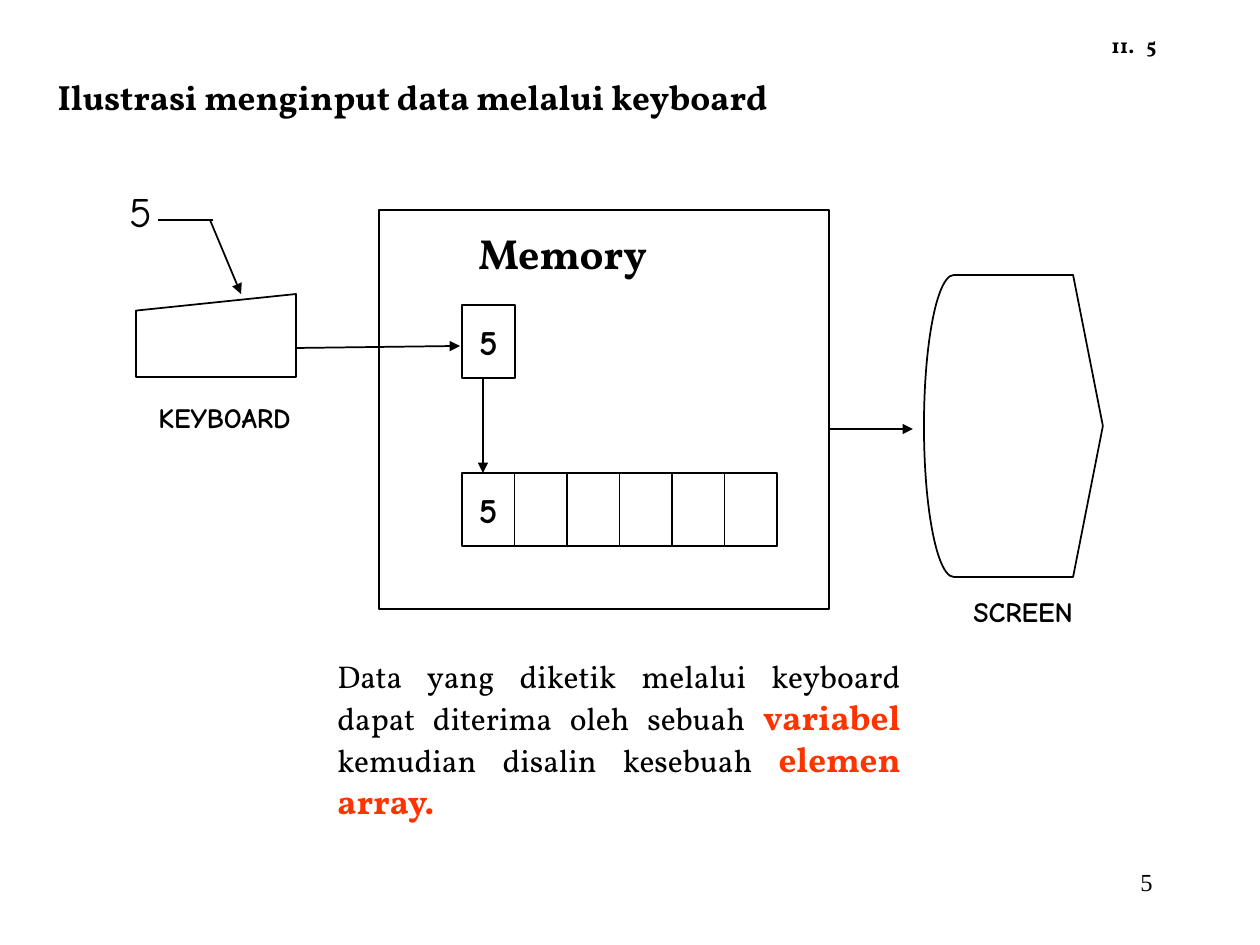
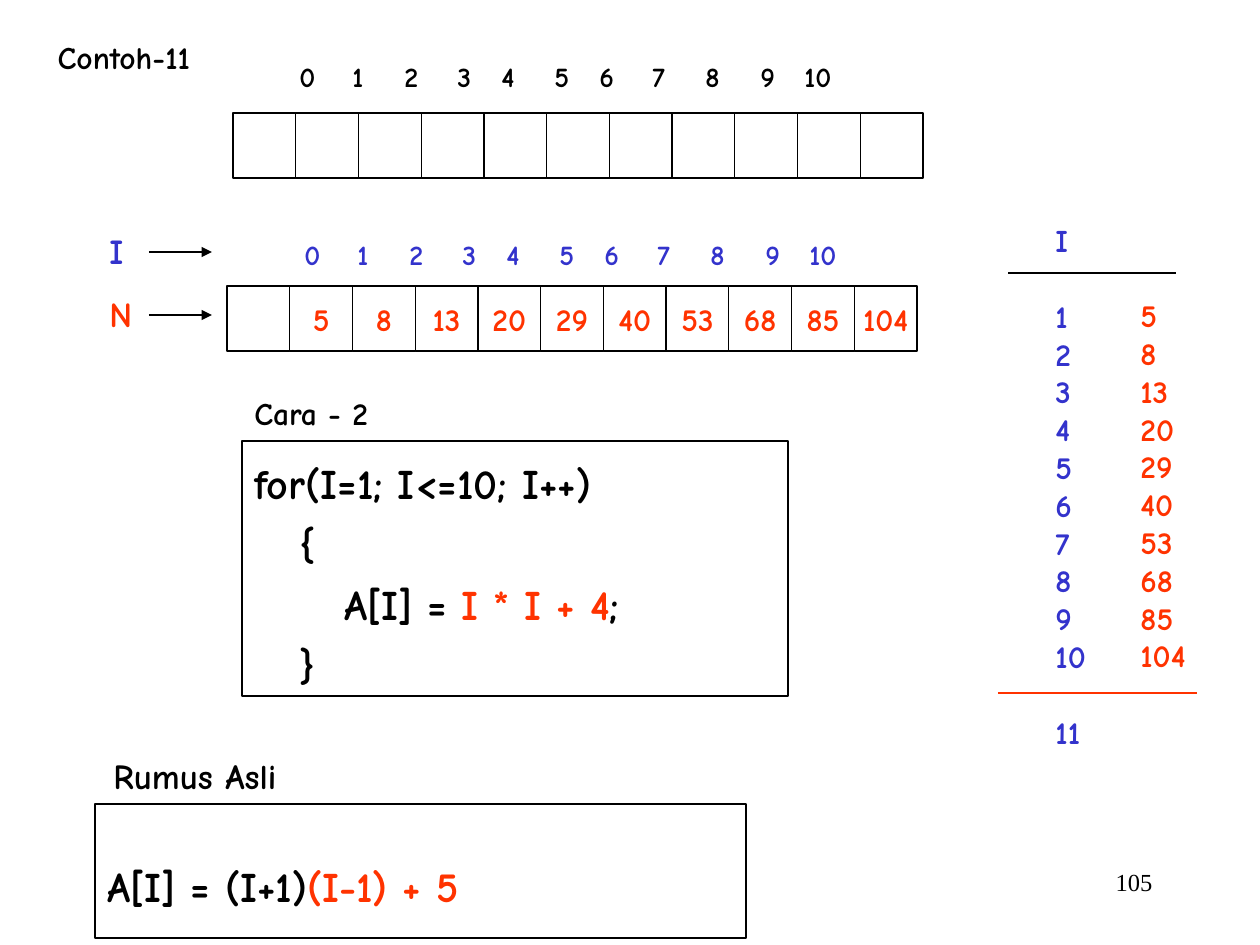
from pptx import Presentation
from pptx.dml.color import RGBColor
from pptx.enum.shapes import MSO_CONNECTOR, MSO_SHAPE
from pptx.enum.text import MSO_ANCHOR, MSO_AUTO_SIZE, PP_ALIGN
from pptx.oxml.ns import qn
from pptx.util import Emu, Pt
from lxml.etree import SubElement

BLACK = RGBColor(0x00, 0x00, 0x00)
RED = RGBColor(0xFF, 0x33, 0x00)
BLUE = RGBColor(0x33, 0x33, 0xCC)
SERIF, COMIC, PLAIN = "Vollkorn", "Comic Neue", "Times New Roman"
TITLE_ONLY = 5

# Content: lengths in px, 126 to the inch; boxes are (left, top, width, height)
PAGE_NUMBER_BOX = (903, 861, 262, 63)

KEYBOARD_TITLE = ("Ilustrasi menginput data melalui keyboard", (45, 69, 789, 55))
KEYBOARD_LABELS = [
    ("5", (1134, 26, 84, 42), dict(name=SERIF, size=12)),
    ("11.", (1099, 26, 54, 38), dict(name=SERIF, size=12)),
    ("KEYBOARD", (146, 394, 158, 47), dict(size=16)),
    ("SCREEN", (961, 588, 125, 47), dict(size=16)),
    ("5", (117, 179, 48, 63), dict(size=24, bold=False)),
    ("Memory", (466, 221, 203, 63), dict(name=SERIF, size=24)),
]
MEMORY_BOX = (379, 210, 450, 399)
KEYBOARD_BOX = (136, 294, 160, 83)
SCREEN_BOX = (924, 275, 179, 302)
VARIABLE_CELL = (462, 305, 53, 73)
ARRAY_CELLS = (462, 473, 315, 73)
# start, end, line width, arrowhead
KEYBOARD_LINES = [
    ((296, 348), (460, 346), 1, True),
    ((158, 220), (213, 220), 1, False),
    ((210, 220), (241, 294), 1, True),
    ((829, 429), (913, 429), 0.75, True),
    ((483, 378), (483, 473), 0.75, True),
]
EXPLANATION_BOX = (325, 651, 588, 173)
KEYWORD = dict(size=20, bold=True, color=RED)
EXPLANATION = [
    ("Data yang diketik melalui keyboard dapat diterima oleh sebuah ", {}),
    ("variabel", KEYWORD),
    (" kemudian disalin kesebuah ", {}),
    ("elemen array.", KEYWORD),
]

EXAMPLE_TITLE = ("Contoh-11", (45, 32, 158, 50))
VALUES = [5, 8, 13, 20, 29, 40, 53, 68, 85, 104]
INDEX_TABS = [53, 105, 158, 202, 255, 300, 353, 406, 461, 505]
INDEX_ROWS = [((287, 53, 578, 47), BLACK), ((292, 231, 578, 47), BLUE)]
EMPTY_CELLS = (233, 113, 690, 65)
VALUE_CELLS = (227, 286, 690, 65)
EXAMPLE_LABELS = [
    ("I", (97, 223, 39, 55), dict(size=20, color=BLUE)),
    ("N", (97, 286, 48, 55), dict(size=20, color=RED)),
    ("Cara - 2", (242, 388, 140, 50), dict(size=18)),
    ("Rumus Asli", (101, 748, 188, 55), dict(size=20)),
]
EXAMPLE_LINES = [
    ((149, 252), (212, 252), BLACK, True),
    ((149, 315), (212, 315), BLACK, True),
    ((1008, 273), (1176, 273), BLACK, False),
    ((998, 693), (1197, 693), RED, False),
]
INDEX_COLUMN = (1043, 215, 56, 542)
VALUE_COLUMN = (1128, 290, 71, 391)
COLUMN_GAP = 21.6  # one line of 18 pt text
CODE_BOX = (242, 441, 546, 255)
CODE = [
    [("for(I=1; I<=10; I++)", {})],
    [("   {", {})],
    [("      A[I] = ", {}), ("I * I + 4", dict(color=RED)), (";", {})],
    [("   }", {})],
]
FORMULA_BOX = (95, 804, 651, 134)
FORMULA_TOP = 56
FORMULA = [[("A[I] = (I+1)", {}), ("(I-1) + 5", dict(color=RED))]]

BASE_FONT = dict(name=COMIC, size=18, bold=True, color=BLACK)


def px(length):
    return Emu(round(length * 914400 / 126))


def emu(lengths):
    return [px(length) for length in lengths]


def set_all(target, values):
    for name, value in values.items():
        setattr(target, name, value)


def write(shape, paragraphs, font=None, frame=None, paragraph_format=None):
    """Fill a shape with paragraphs, each a list of (text, font changes)."""
    text_frame = shape.text_frame
    set_all(text_frame, dict(auto_size=MSO_AUTO_SIZE.NONE, word_wrap=False,
                             vertical_anchor=MSO_ANCHOR.TOP) | (frame or {}))
    for number, runs in enumerate(paragraphs):
        paragraph = text_frame.add_paragraph() if number else text_frame.paragraphs[0]
        set_all(paragraph, dict(alignment=PP_ALIGN.LEFT) | (paragraph_format or {}))
        for text, changes in runs:
            run = paragraph.add_run()
            run.text = text
            style = BASE_FONT | (font or {}) | changes
            run.font.color.rgb = style.pop("color")
            set_all(run.font, style | dict(size=Pt(style["size"])))


def add_text(slide, box, paragraphs, font=None, **formats):
    shape = slide.shapes.add_textbox(*emu(box))
    write(shape, paragraphs, font, **formats)
    return shape


def add_labels(slide, labels):
    for text, box, font in labels:
        add_text(slide, box, [[(text, {})]], font)


def add_outline(slide, box, width=0.75, kind=MSO_SHAPE.RECTANGLE):
    shape = slide.shapes.add_shape(kind, *emu(box))
    shape.shadow.inherit = False
    shape.fill.background()
    shape.line.color.rgb = BLACK
    shape.line.width = Pt(width)
    return shape


def add_cells(slide, row, texts, font=None):
    """Split a row into equal cells, one for each text."""
    left, top, width, height = row
    cell_width = width / len(texts)
    for column, text in enumerate(texts):
        cell = add_outline(slide, (left + column * cell_width, top, cell_width, height))
        if text:
            write(cell, [[(text, {})]], font, dict(vertical_anchor=MSO_ANCHOR.MIDDLE),
                  dict(alignment=PP_ALIGN.CENTER))


def add_line(slide, start, end, width=0.75, color=BLACK, arrow=False):
    line = slide.shapes.add_connector(MSO_CONNECTOR.STRAIGHT, *emu(start + end))
    line.line.color.rgb = color
    line.line.width = Pt(width)
    properties = line.element.spPr
    if arrow:
        SubElement(properties.find(qn("a:ln")), qn("a:tailEnd"), type="triangle")
    SubElement(properties, qn("a:effectLst"))


def add_index_row(slide, box, color):
    """Write 0 to 10 in one line, set apart by tab stops."""
    shape = slide.shapes.add_textbox(*emu(box))
    properties = shape.text_frame.paragraphs[0]._p.get_or_add_pPr()
    tabs = SubElement(properties, qn("a:tabLst"))
    for position in INDEX_TABS:
        SubElement(tabs, qn("a:tab"), pos=str(px(position)), algn="l")
    text = "\t".join(str(index) for index in range(len(INDEX_TABS) + 1))
    write(shape, [[(text, {})]], dict(size=16, color=color), dict(word_wrap=True))


def add_slide(presentation, title, font, page_number):
    slide = presentation.slides.add_slide(presentation.slide_layouts[TITLE_ONLY])
    text, box = title
    placeholder = slide.shapes.title
    set_all(placeholder, dict(zip(("left", "top", "width", "height"), emu(box))))
    write(placeholder, [[(text, {})]], font)
    add_text(slide, PAGE_NUMBER_BOX, [[(page_number, {})]],
             dict(name=PLAIN, size=14, bold=False), frame=dict(word_wrap=True),
             paragraph_format=dict(alignment=PP_ALIGN.RIGHT))
    return slide


def build_keyboard_slide(presentation):
    slide = add_slide(presentation, KEYBOARD_TITLE, dict(name=SERIF, size=20), "5")
    add_outline(slide, MEMORY_BOX)
    add_outline(slide, KEYBOARD_BOX, 1, MSO_SHAPE.FLOWCHART_MANUAL_INPUT)
    screen = add_outline(slide, SCREEN_BOX, 1, MSO_SHAPE.FLOWCHART_DISPLAY)
    screen.element.spPr.find(qn("a:xfrm")).set("flipH", "1")
    add_labels(slide, KEYBOARD_LABELS)
    add_text(slide, EXPLANATION_BOX, [EXPLANATION], dict(name=SERIF, bold=False),
             frame=dict(word_wrap=True),
             paragraph_format=dict(alignment=PP_ALIGN.JUSTIFY))
    add_cells(slide, VARIABLE_CELL, ["5"], dict(size=20))
    add_cells(slide, ARRAY_CELLS, ["5"] + [""] * 5, dict(size=20))
    for start, end, width, arrow in KEYBOARD_LINES:
        add_line(slide, start, end, width, arrow=arrow)


def build_example_slide(presentation):
    slide = add_slide(presentation, EXAMPLE_TITLE, dict(size=18), "105")
    values = [str(value) for value in VALUES]
    for box, color in INDEX_ROWS:
        add_index_row(slide, box, color)
    add_cells(slide, EMPTY_CELLS, [""] * 11)
    add_cells(slide, VALUE_CELLS, [""] + values, dict(color=RED))
    add_labels(slide, EXAMPLE_LABELS)
    for start, end, color, arrow in EXAMPLE_LINES:
        add_line(slide, start, end, color=color, arrow=arrow)

    indexes = ["I"] + [str(index) for index in range(1, len(VALUES) + 2)]
    column = add_text(slide, INDEX_COLUMN, [[(index, {})] for index in indexes],
                      dict(color=BLUE))
    for position in (1, -1):
        column.text_frame.paragraphs[position].space_before = Pt(COLUMN_GAP)
    add_text(slide, VALUE_COLUMN, [[(value, {})] for value in values], dict(color=RED))

    write(add_outline(slide, CODE_BOX), CODE, dict(size=24), dict(word_wrap=True),
          dict(line_spacing=1.2))
    write(add_outline(slide, FORMULA_BOX), FORMULA, dict(size=24),
          dict(word_wrap=True, margin_top=px(FORMULA_TOP)))


def main():
    presentation = Presentation()
    presentation.slide_width, presentation.slide_height = emu((1260, 945))
    build_keyboard_slide(presentation)
    build_example_slide(presentation)
    presentation.save("out.pptx")


if __name__ == "__main__":
    main()
